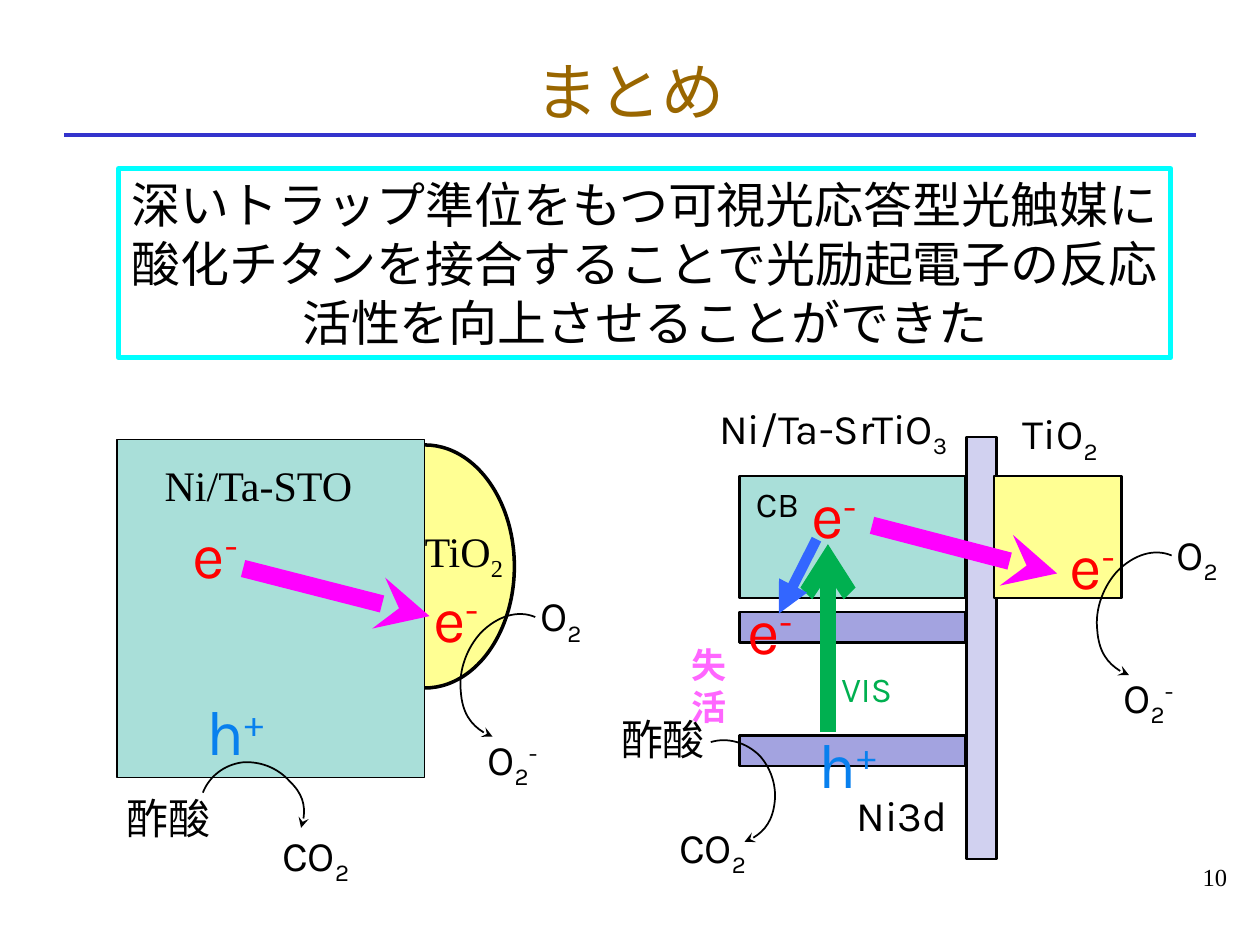
from lxml import etree
from pptx import Presentation
from pptx.dml.color import RGBColor
from pptx.enum.shapes import MSO_CONNECTOR, MSO_SHAPE
from pptx.enum.text import MSO_ANCHOR, MSO_AUTO_SIZE, PP_ALIGN
from pptx.oxml.ns import qn
from pptx.util import Cm, Pt

RECT, OVAL = MSO_SHAPE.RECTANGLE, MSO_SHAPE.OVAL
LINE = MSO_CONNECTOR.STRAIGHT
LEFT, MID, RIGHT = PP_ALIGN.LEFT, PP_ALIGN.CENTER, PP_ALIGN.RIGHT
GROW, FIXED = MSO_AUTO_SIZE.SHAPE_TO_FIT_TEXT, MSO_AUTO_SIZE.NONE
BOTTOM = MSO_ANCHOR.BOTTOM

BLACK = RGBColor(0x00, 0x00, 0x00)
BROWN = RGBColor(0x99, 0x66, 0x00)
NAVY = RGBColor(0x33, 0x33, 0xCC)
CYAN = RGBColor(0x00, 0xFF, 0xFF)
YELLOW = RGBColor(0xFF, 0xFF, 0x93)
TEAL = RGBColor(0xA9, 0xDF, 0xD9)
PALE = RGBColor(0xD1, 0xD1, 0xF0)
LILAC = RGBColor(0xA3, 0xA3, 0xE0)
GREEN = RGBColor(0x00, 0xB0, 0x50)
PINK = RGBColor(0xFF, 0x66, 0xFF)
MAGENTA = RGBColor(0xFF, 0x00, 0xFF)
BLUE = RGBColor(0x33, 0x66, 0xFF)
RED = RGBColor(0xFF, 0x00, 0x00)
AZURE = RGBColor(0x08, 0x80, 0xEE)

KARLA, TIMES, ARIAL = "Karla", "Times New Roman", "Arial"

# Curves: a start point, then two handles and an end for each bend
OXYGEN = [(23.62, 11.2), (23.27, 11.05), (22.86, 11.18), (22.53, 11.51),
          (22.25, 11.81), (22.07, 12.27), (22.12, 12.7),
          (22.15, 13.13), (22.4, 13.49), (22.76, 13.61)]
ACID_R = [(14.33, 14.96), (14.66, 14.86), (15.04, 14.96), (15.32, 15.24),
          (15.54, 15.49), (15.65, 15.82), (15.62, 16.15),
          (15.58, 16.54), (15.34, 16.87), (15.01, 16.97)]
ACID_L = [(4.09, 15.98), (4.22, 15.65), (4.52, 15.42), (4.88, 15.37),
          (5.23, 15.34), (5.59, 15.47), (5.84, 15.75),
          (6.1, 16), (6.2, 16.36), (6.07, 16.69)]


def apply(item, values):
    for name, value in values.items():
        setattr(item, name, value)


def write(frame, parts, size, color=BLACK, face=KARLA, align=LEFT, bold=None):
    """Fill a frame with (text, baseline percent) parts."""
    para = frame.paragraphs[0]
    para.alignment = align
    for text, base in parts:
        run = para.add_run()
        run.text = text
        apply(run.font, {"name": face, "size": Pt(size), "bold": bold})
        run.font.color.rgb = color
        if base:
            run.font._element.set("baseline", str(base * 1000))


def stroke(item, color, width, tail=None):
    item.line.color.rgb = color
    item.line.width = Pt(width)
    if tail:
        etree.SubElement(item.line._get_or_add_ln(), qn("a:tailEnd"), type=tail)


def block(slide, kind, box, fill, width, color=BLACK):
    shape = slide.shapes.add_shape(kind, *map(Cm, box))
    shape.shadow.inherit = False
    if fill is None:
        shape.fill.background()
    else:
        shape.fill.solid()
        shape.fill.fore_color.rgb = fill
    stroke(shape, color, width)
    return shape


def label(slide, box, text, size=24, sub="", sup="", wrap=False, **look):
    frame = slide.shapes.add_textbox(*map(Cm, box)).text_frame
    apply(frame, {"word_wrap": wrap, "auto_size": GROW})
    parts = [(text, 0), (sub, -25), (sup, 30)]
    write(frame, [part for part in parts if part[0]], size, **look)


def link(slide, ends, color, width, tail=None):
    line = slide.shapes.add_connector(LINE, *map(Cm, ends))
    stroke(line, color, width, tail)
    etree.SubElement(line._element.spPr, qn("a:effectLst"))


def curve(slide, points, dx=0, dy=0):
    spots = [(Cm(x + dx), Cm(y + dy)) for x, y in points]
    pen = slide.shapes.build_freeform(*spots[0])
    pen.add_line_segments(spots[1:], close=False)
    shape = pen.convert_to_shape()
    # Turn each three segments into one Bezier bend
    route = shape._element.xpath(".//a:path")[0]
    legs = route.findall(qn("a:lnTo"))
    for i in range(0, len(legs), 3):
        bend = etree.SubElement(route, qn("a:cubicBezTo"))
        for leg in legs[i:i + 3]:
            bend.append(leg[0])
            route.remove(leg)
    shape.fill.background()
    shape.shadow.inherit = False
    stroke(shape, BLACK, 1, "stealth")


def header(slide):
    title = slide.shapes.title
    apply(title, {"left": Cm(1.27), "top": Cm(1.02),
                  "width": Cm(22.86), "height": Cm(1.57)})
    apply(title.text_frame, {
        "margin_left": 0, "margin_right": 0, "margin_top": 0,
        "margin_bottom": 0, "vertical_anchor": BOTTOM, "auto_size": FIXED})
    write(title.text_frame, [("まとめ", 0)], 36, BROWN, align=MID)
    link(slide, (1.3, 2.72, 24.1, 2.72), NAVY, 2.25)
    label(slide, (19.71, 17.25, 5.28, 1.27), "10", 14, wrap=True,
          face=TIMES, align=RIGHT)

    box = block(slide, RECT, (2.39, 3.4, 21.21, 3.81), None, 3, CYAN)
    apply(box.text_frame, {"word_wrap": True, "auto_size": GROW})
    text = ("深いトラップ準位をもつ可視光応答型光触媒に酸化チタンを接合することで"
            "光励起電子の反応活性を向上させることができた")
    write(box.text_frame, [(text, 0)], 28, face=ARIAL, align=MID)


def particle(slide):
    """Left: the joined particles."""
    block(slide, OVAL, (6.76, 8.97, 3.61, 4.9), YELLOW, 2)
    block(slide, RECT, (2.36, 8.86, 6.2, 6.81), TEAL, 0.75)
    link(slide, (4.9, 11.46, 8.66, 12.42), MAGENTA, 10, "stealth")
    curve(slide, OXYGEN, -12.83, 1.24)
    curve(slide, ACID_L)
    label(slide, (3.07, 9.14, 4.98, 1.27), "Ni/Ta-STO", wrap=True, face=TIMES)
    label(slide, (8.31, 10.46, 2.11, 1.42), "TiO", sub="2", face=TIMES)


def bands(slide):
    """Right: the energy bands."""
    block(slide, RECT, (19.48, 8.81, 0.61, 8.51), PALE, 1.5)
    block(slide, RECT, (20.04, 9.6, 2.57, 2.46), YELLOW, 1.5)
    block(slide, RECT, (14.91, 9.6, 4.55, 2.46), TEAL, 1.5)
    for top in (14.83, 12.34):
        block(slide, RECT, (14.91, top, 4.55, 0.61), LILAC, 1.5)
    link(slide, (16.69, 14.76, 16.69, 10.97), GREEN, 9, "arrow")
    link(slide, (17.58, 10.59, 21.31, 11.56), MAGENTA, 10, "stealth")
    link(slide, (16.46, 10.87, 15.7, 12.37), BLUE, 6, "triangle")
    curve(slide, OXYGEN)
    curve(slide, ACID_R)
    label(slide, (14.25, 7.98, 5.33, 1.42), "Ni/Ta-SrTiO", sub="3")
    label(slide, (20.37, 8.1, 2.13, 1.42), "TiO", sub="2")
    label(slide, (17.02, 15.8, 2.36, 1.27), "Ni3d")
    label(slide, (14.99, 9.6, 1.4, 1.12), "CB", 20)
    label(slide, (13.69, 12.85, 1.9, 1.12), "失活", 20, color=PINK, bold=True)
    label(slide, (16.71, 13.34, 1.55, 1.12), "VIS", 20, color=GREEN)


def species(slide):
    """Charges and molecules, which appear in both schemes."""
    kinds = [
        ((1.45, 1.78), {"text": "e", "sup": "-", "size": 36, "color": RED},
         [(16.1, 9.47), (14.81, 11.79), (21.31, 10.49),
          (3.63, 10.26), (8.48, 11.56)]),
        ((1.7, 1.78), {"text": "h", "sup": "+", "size": 36, "color": AZURE},
         [(16.26, 14.5), (3.91, 13.84)]),
        ((1.6, 2.44), {"text": "O", "sub": "2", "sup": "-"},
         [(22.4, 13.41), (9.58, 14.66)]),
        ((1.45, 1.42), {"text": "O", "sub": "2"},
         [(23.47, 10.52), (10.64, 11.76)]),
        ((1.98, 1.42), {"text": "CO", "sub": "2"},
         [(13.44, 16.43), (5.44, 16.59)]),
        ((2.44, 1.27), {"text": "酢酸", "wrap": True},
         [(12.27, 14.25), (2.31, 15.85)]),
    ]
    for size, look, spots in kinds:
        for spot in spots:
            label(slide, spot + size, **look)


def main():
    deck = Presentation()
    apply(deck, {"slide_width": Cm(25.4), "slide_height": Cm(19.05)})
    slide = deck.slides.add_slide(deck.slide_layouts[5])
    for part in (header, particle, bands, species):
        part(slide)
    deck.save("out.pptx")


if __name__ == "__main__":
    main()
